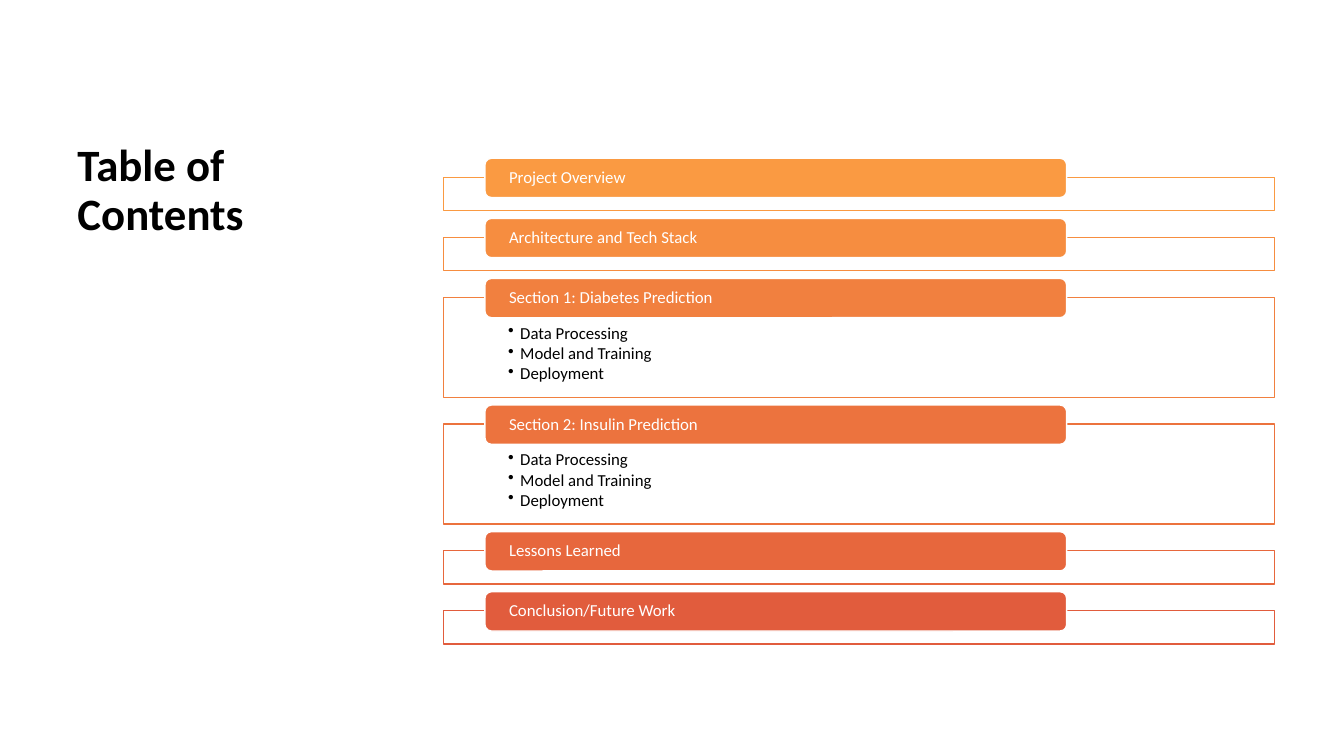
from lxml.etree import SubElement
from pptx import Presentation
from pptx.dml.color import RGBColor
from pptx.enum.shapes import MSO_SHAPE
from pptx.enum.text import MSO_ANCHOR, PP_ALIGN
from pptx.oxml.ns import qn
from pptx.util import Inches, Pt

TITLE = "Table of Contents"
STEPS = ["Data Processing", "Model and Training", "Deployment"]
SECTIONS = [
    ("Project Overview", "FA9A42", []),
    ("Architecture and Tech Stack", "F68D40", []),
    ("Section 1: Diabetes Prediction", "F1803F", STEPS),
    ("Section 2: Insulin Prediction", "EC733E", STEPS),
    ("Lessons Learned", "E7673D", []),
    ("Conclusion/Future Work", "E15C3D", []),
]

LIST_TOP, LIST_BOTTOM = 1.76, 6.39
FRAME_LEFT, FRAME_WIDTH = 4.4, 8.24
EMPTY_HEIGHT, STEPS_HEIGHT = 0.33, 0.99
TAB_LEFT, TAB_WIDTH, TAB_HEIGHT, TAB_RISE = 4.81, 5.77, 0.39, 0.19
BULLET_INDENT = Inches(0.12)


def color(value):
    return RGBColor.from_string(value)


def add_box(page, kind, place, fill, line):
    box = page.shapes.add_shape(kind, *map(Inches, place))
    box.shadow.inherit = False
    box.fill.solid()
    box.fill.fore_color.rgb = color(fill)
    box.line.color.rgb = color(line)
    box.line.width = Pt(1)
    return box


def write(box, lines, size, ink, insets, anchor, bold=False, after=0, bullets=False):
    frame = box.text_frame
    frame.word_wrap = True
    frame.vertical_anchor = anchor
    (frame.margin_left, frame.margin_top,
     frame.margin_right, frame.margin_bottom) = map(Inches, insets)
    for index, line in enumerate(lines):
        para = frame.add_paragraph() if index else frame.paragraphs[0]
        para.text = line
        para.alignment = PP_ALIGN.LEFT
        para.line_spacing = 0.9
        para.space_after = Pt(after)
        para.font.name = "Calibri"
        para.font.size = Pt(size)
        para.font.bold = bold
        para.font.color.rgb = color(ink)
        if bullets:
            add_bullet(para)


def add_bullet(para):
    properties = para._p.get_or_add_pPr()
    properties.set("marL", str(BULLET_INDENT))
    properties.set("indent", str(-BULLET_INDENT))
    bullet = SubElement(properties, qn("a:buChar"))
    bullet.set("char", "•")
    # The schema places the bullet before the default run properties.
    defaults = properties.find(qn("a:defRPr"))
    if defaults is not None:
        defaults.addprevious(bullet)


def add_section(page, top, height, heading, accent, steps):
    frame = add_box(page, MSO_SHAPE.RECTANGLE,
                    (FRAME_LEFT, top, FRAME_WIDTH, height), "FFFFFF", accent)
    if steps:
        write(frame, steps, 12, "000000", (0.64, 0.27, 0.64, 0.09),
              MSO_ANCHOR.TOP, after=1.5, bullets=True)
    tab = add_box(page, MSO_SHAPE.ROUNDED_RECTANGLE,
                  (TAB_LEFT, top - TAB_RISE, TAB_WIDTH, TAB_HEIGHT), accent, "FFFFFF")
    write(tab, [heading], 12, "FFFFFF", (0.22, 0, 0.22, 0), MSO_ANCHOR.MIDDLE)


def main():
    deck = Presentation()
    deck.slide_width, deck.slide_height = Inches(13.33), Inches(7.5)
    page = deck.slides.add_slide(deck.slide_layouts[6])

    title = page.shapes.add_textbox(*map(Inches, (0.67, 1.37, 3.18, 5.22)))
    write(title, [TITLE], 32, "000000", (0.1, 0.05, 0.1, 0.05), MSO_ANCHOR.TOP, bold=True)

    heights = [STEPS_HEIGHT if steps else EMPTY_HEIGHT for _, _, steps in SECTIONS]
    gap = (LIST_BOTTOM - LIST_TOP - sum(heights)) / (len(SECTIONS) - 1)
    top = LIST_TOP
    for section, height in zip(SECTIONS, heights):
        add_section(page, top, height, *section)
        top += height + gap

    deck.save("out.pptx")


if __name__ == "__main__":
    main()
